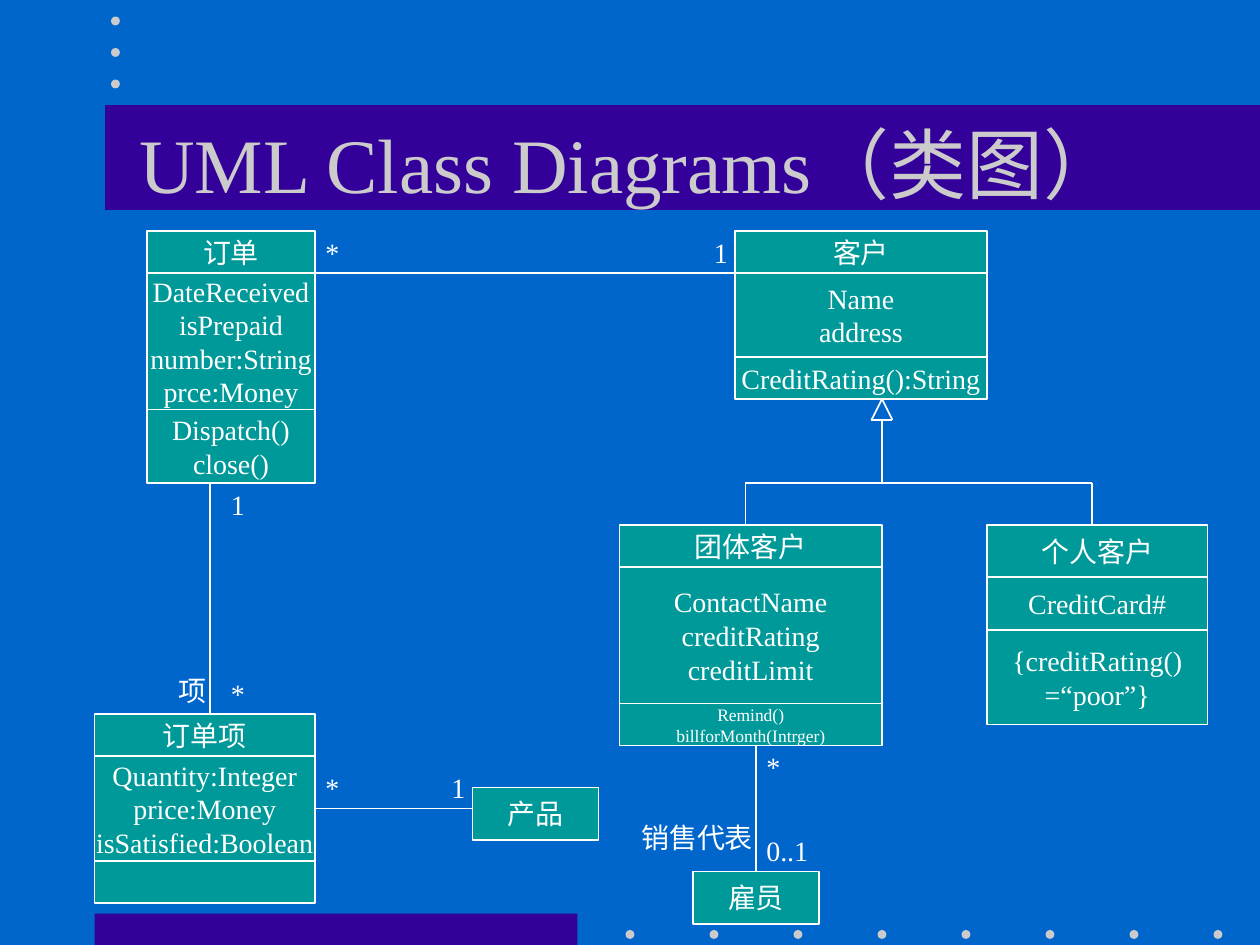
from lxml import etree
from pptx import Presentation
from pptx import util as u
from pptx.dml.color import RGBColor
from pptx.enum import shapes, text
from pptx.oxml import ns

BLUE = RGBColor(0x00, 0x66, 0xCC)
PURPLE = RGBColor(0x33, 0x00, 0x99)
TEAL = RGBColor(0x00, 0x99, 0x99)
GREY = RGBColor(0xCB, 0xCB, 0xCB)
WHITE = RGBColor(0xFF, 0xFF, 0xFF)
FONT = "Times New Roman"
LABEL_HEIGHT = 4.4


def grid(count):
    """Return a length of count twelfths of an inch."""
    return u.Cm(count * 2.54 / 12)


def write(frame, lines, size, color, align):
    """Fill a text frame with one paragraph for each line."""
    for index, line in enumerate(lines):
        para = frame.paragraphs[0] if index == 0 else frame.add_paragraph()
        para.alignment = align
        span = para.add_run()
        span.text = line
        span.font.name = FONT
        span.font.size = u.Pt(size)
        span.font.color.rgb = color


def add_filled(page, kind, left, top, width, height, color):
    """Add a plain filled shape without an outline."""
    shape = page.shapes.add_shape(kind, grid(left), grid(top), grid(width), grid(height))
    shape.shadow.inherit = False
    shape.fill.solid()
    shape.fill.fore_color.rgb = color
    shape.line.fill.background()
    return shape


def add_dots(page, left, top, count, step_x, step_y):
    """Add a row or column of dots starting from the given centre."""
    size = 0.84
    for index in range(count):
        add_filled(page, shapes.MSO_SHAPE.OVAL, left + index * step_x - size / 2,
                   top + index * step_y - size / 2, size, size, GREY)


def add_class(page, left, top, width, sections):
    """Stack the compartments of a class and return their shapes."""
    cells = []
    for height, size, lines in sections:
        cell = add_filled(page, shapes.MSO_SHAPE.RECTANGLE, left, top, width, height, TEAL)
        cell.line.color.rgb = WHITE
        cell.line.width = u.Pt(1)
        cell.text_frame.word_wrap = False
        cell.text_frame.vertical_anchor = text.MSO_ANCHOR.MIDDLE
        write(cell.text_frame, lines, size, WHITE, text.PP_ALIGN.CENTER)
        cells.append(cell)
        top += height
    return cells


def add_line(page, start_x, start_y, end_x, end_y):
    """Draw a straight white line and return it."""
    line = page.shapes.add_connector(shapes.MSO_CONNECTOR.STRAIGHT, grid(start_x),
                                     grid(start_y), grid(end_x), grid(end_y))
    line.line.color.rgb = WHITE
    line.line.width = u.Pt(1)
    etree.SubElement(line._element.spPr, ns.qn("a:effectLst"))
    return line


def add_label(page, left, top, words, width=3.7):
    """Place a role name or multiplicity beside an association."""
    box = page.shapes.add_textbox(grid(left), grid(top), grid(width), grid(LABEL_HEIGHT))
    box.text_frame.word_wrap = False
    box.text_frame.auto_size = text.MSO_AUTO_SIZE.SHAPE_TO_FIT_TEXT
    write(box.text_frame, [words], 16, WHITE, text.PP_ALIGN.LEFT)


def add_header(page, left, top, width, height):
    """Draw the title band with the dots above it."""
    add_filled(page, shapes.MSO_SHAPE.RECTANGLE, left, top, width, height, PURPLE)
    add_dots(page, left + 1, top - 8, 3, 0, 3)
    box = page.shapes.add_textbox(grid(left - 1), grid(top - 2), grid(102), grid(15))
    box.text_frame.word_wrap = True
    box.text_frame.vertical_anchor = text.MSO_ANCHOR.MIDDLE
    write(box.text_frame, ["UML Class Diagrams（类图）"], 44, GREY, text.PP_ALIGN.CENTER)


def add_footer(page, left, top, width, height):
    """Draw the bottom band and the dots to its right."""
    add_filled(page, shapes.MSO_SHAPE.RECTANGLE, left, top, width, height, PURPLE)
    add_dots(page, left + width + 5, top + 2, 8, 8, 0)


def add_order_side(page, left, top):
    """Draw the order, its items and the product."""
    add_class(page, left + 5, top, 16, [
        (4, 16, ["订单"]),
        (13, 16, ["DateReceived", "isPrepaid", "number:String", "prce:Money"]),
        (7, 16, ["Dispatch()", "close()"])])
    item = add_class(page, left, top + 46, 21, [
        (4, 16, ["订单项"]),
        (10, 16, ["Quantity:Integer", "price:Money", "isSatisfied:Boolean"]),
        (4, 16, [])])
    add_class(page, left + 36, top + 53, 12, [(5, 16, ["产品"])])
    add_line(page, left + 11, top + 24, left + 11, top + 46)
    product_line = add_line(page, left + 36, top + 55, left + 21, top + 55)
    product_line.end_connect(item[1], 3)
    add_label(page, left + 11.8, top + 23.8, "1")
    add_label(page, left + 11.8, top + 41.8, "*")
    add_label(page, left + 6.8, top + 41.6, "项", 5)
    add_label(page, left + 32.8, top + 50.8, "1")
    add_label(page, left + 20.8, top + 50.8, "*")


def add_inheritance(page, left, top):
    """Draw the generalization tree with its hollow arrowhead."""
    for ends in [(0, 12, 0, 8), (0, 8, 33, 8), (33, 8, 33, 12), (13, 8, 13, 2),
                 (12, 2, 14, 2), (12, 2, 13, 0), (14, 2, 13, 0)]:
        start_x, start_y, end_x, end_y = ends
        add_line(page, left + start_x, top + start_y, left + end_x, top + end_y)


def add_customer_side(page, left, top):
    """Draw the customer, its two subclasses and the employee."""
    add_class(page, left + 11, top, 24, [
        (4, 16, ["客户"]),
        (8, 16, ["Name", "address"]),
        (4, 16, ["CreditRating():String"])])
    add_class(page, left, top + 28, 25, [
        (4, 16, ["团体客户"]),
        (13, 16, ["ContactName", "creditRating", "creditLimit"]),
        (4, 10, ["Remind()", "billforMonth(Intrger)"])])
    employee = add_class(page, left + 7, top + 61, 12, [(5, 16, ["雇员"])])
    add_class(page, left + 35, top + 28, 21, [
        (5, 16, ["个人客户"]),
        (5, 16, ["CreditCard#"]),
        (9, 16, ["{creditRating()", "=“poor”}"])])
    add_inheritance(page, left + 12, top + 16)
    employee_line = add_line(page, left + 13, top + 49, left + 13, top + 61)
    employee_line.end_connect(employee[0], 0)
    add_label(page, left + 0.9, top + 55.6, "销售代表", 13)
    add_label(page, left + 12.8, top + 56.8, "0..1", 6.4)
    add_label(page, left + 12.8, top + 48.8, "*")


def add_order_link(page, left, top, width):
    """Join the order and the customer with their multiplicities."""
    add_line(page, left, top, left + width, top)
    add_label(page, left + width - 3.2, top - 4.2, "1")
    add_label(page, left - 0.2, top - 4.2, "*")


def main():
    """Build the deck and save it."""
    deck = Presentation()
    deck.slide_width, deck.slide_height = grid(120), grid(90)
    page = deck.slides.add_slide(deck.slide_layouts[6])
    page.background.fill.solid()
    page.background.fill.fore_color.rgb = BLUE
    add_footer(page, 9, 87, 46, 3)
    add_header(page, 10, 10, 110, 10)
    add_order_side(page, 9, 22)
    add_customer_side(page, 59, 22)
    add_order_link(page, 30, 26, 40)
    deck.save("out.pptx")


if __name__ == "__main__":
    main()
